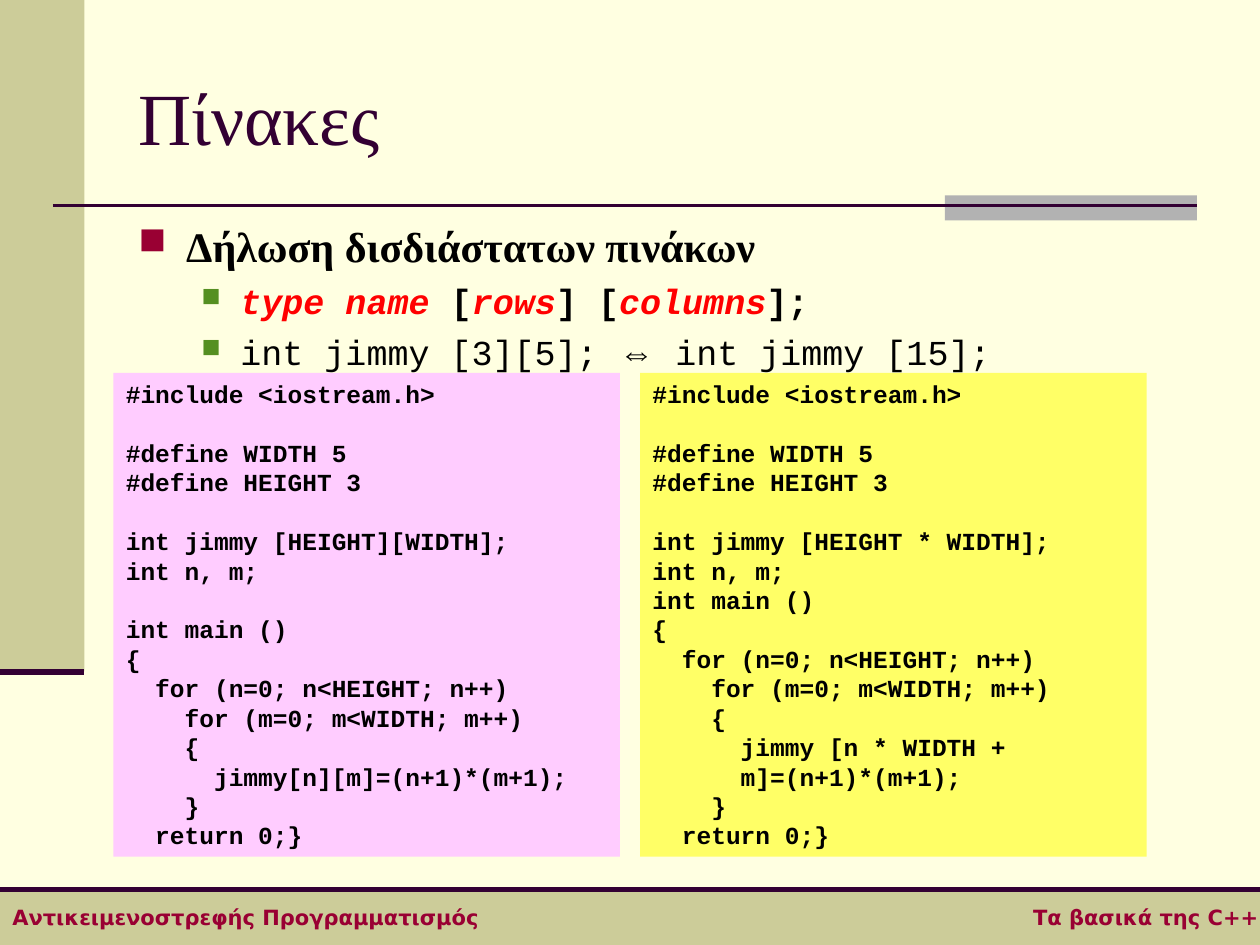
"""Build the slide on declaring two-dimensional arrays in C++."""
from dataclasses import dataclass
from typing import Optional

from lxml.etree import SubElement
from pptx import Presentation
from pptx.dml.color import RGBColor
from pptx.enum.shapes import MSO_CONNECTOR as Conn, MSO_SHAPE as Geo
from pptx.enum.text import MSO_ANCHOR as Anchor, PP_ALIGN as Align
from pptx.oxml.ns import qn
from pptx.util import Inches, Pt


@dataclass(frozen=True)
class Theme:
    paper: str = "FFFFE1"
    khaki: str = "CCCC99"
    grey: str = "B2B2B2"
    plum: str = "330033"
    crimson: str = "990033"
    green: str = "558F21"
    red: str = "FF0000"
    black: str = "000000"
    pink: str = "FFCCFF"
    yellow: str = "FFFF66"
    serif: str = "Times New Roman"
    mono: str = "Courier New"
    symbol: str = "Arial"
    sans: str = "DejaVu Sans"
    title_pt: float = 42
    topic_pt: float = 24
    item_pt: float = 20
    code_pt: float = 14
    code_line_pt: float = 16.8
    footer_pt: float = 12


T = Theme()


@dataclass(frozen=True)
class Box:
    left: float
    top: float
    width: float
    height: float

    def emu(self) -> tuple:
        return tuple(Inches(v) for v in (self.left, self.top, self.width, self.height))


@dataclass(frozen=True)
class Run:
    text: str
    font: str
    size: float
    color: str = T.black
    bold: bool = False
    italic: bool = False


@dataclass(frozen=True)
class Rule:
    start: tuple
    end: tuple
    weight: float


@dataclass(frozen=True)
class Bullet:
    color: str
    percent: int
    left: float
    hang: float
    level: int
    before: float


@dataclass(frozen=True)
class Item:
    bullet: Bullet
    runs: tuple


@dataclass(frozen=True)
class Listing:
    left: float
    fill: str
    code: str


def syntax(text: str, variable: bool = False) -> Run:
    return Run(text, T.mono, T.item_pt, T.red if variable else T.black, True, variable)


TOPIC = Bullet(T.crimson, 90, 0.38, 0.38, 0, 0)
SUB = Bullet(T.green, 75, 0.81, 0.31, 1, 5)
ITEMS = (
    Item(TOPIC, (Run("Δήλωση δισδιάστατων πινάκων", T.serif, T.topic_pt, bold=True),)),
    Item(SUB, (syntax("type name", True), syntax(" ["), syntax("rows", True),
               syntax("] ["), syntax("columns", True), syntax("];"))),
    Item(SUB, (Run("int jimmy [3][5]; ", T.mono, T.item_pt), Run("⇔", T.symbol, T.item_pt),
               Run(" int jimmy [15];", T.mono, T.item_pt))),
)

PROGRAM = """#include <iostream.h>

#define WIDTH 5
#define HEIGHT 3

int jimmy [{size}];
int n, m;
{gap}int main ()
{{
  for (n=0; n<HEIGHT; n++)
    for (m=0; m<WIDTH; m++)
    {{
      {assign}
    }}
  return 0;}}"""
LISTINGS = (
    Listing(0.9, T.pink, PROGRAM.format(
        size="HEIGHT][WIDTH", gap="\n", assign="jimmy[n][m]=(n+1)*(m+1);")),
    Listing(5.08, T.yellow, PROGRAM.format(
        size="HEIGHT * WIDTH", gap="", assign="jimmy [n * WIDTH +\n      m]=(n+1)*(m+1);")),
)
RULES = (Rule((0.42, 1.63), (9.5, 1.63), 1.5), Rule((0, 5.33), (0.67, 5.33), 3.5),
         Rule((0, 7.06), (10, 7.06), 3))


def add_run(p, run: Run) -> None:
    r = p.add_run()
    r.text = run.text
    f = r.font
    f.name, f.size, f.bold, f.italic = run.font, Pt(run.size), run.bold, run.italic
    f.color.rgb = RGBColor.from_string(run.color)


def add_rect(slide, box: Box, fill: str):
    sp = slide.shapes.add_shape(Geo.RECTANGLE, *box.emu())
    sp.shadow.inherit = False
    sp.fill.solid()
    sp.fill.fore_color.rgb = RGBColor.from_string(fill)
    sp.line.fill.background()
    return sp


def add_rule(slide, rule: Rule) -> None:
    ends = (Inches(v) for v in rule.start + rule.end)
    cn = slide.shapes.add_connector(Conn.STRAIGHT, *ends)
    cn.line.color.rgb = RGBColor.from_string(T.plum)
    cn.line.width = Pt(rule.weight)
    SubElement(cn._element.spPr, qn("a:effectLst"))


def add_text(slide, box: Box, anchor: Anchor):
    tf = slide.shapes.add_textbox(*box.emu()).text_frame
    tf.word_wrap = True
    tf.vertical_anchor = anchor
    return tf


def next_paragraph(tf, index: int):
    p = tf.add_paragraph() if index else tf.paragraphs[0]
    p.alignment = Align.LEFT
    return p


def set_bullet(p, bullet: Bullet) -> None:
    pPr = p._p.get_or_add_pPr()
    pPr.set("marL", str(Inches(bullet.left)))
    pPr.set("indent", str(-Inches(bullet.hang)))
    SubElement(SubElement(pPr, qn("a:buClr")), qn("a:srgbClr"), val=bullet.color)
    SubElement(pPr, qn("a:buSzPct"), val=str(bullet.percent * 1000))
    SubElement(pPr, qn("a:buChar"), char="■")
    p.level = bullet.level
    p.space_before = Pt(bullet.before)


def add_items(slide, box: Box, items: tuple) -> None:
    tf = add_text(slide, box, Anchor.TOP)
    for i, item in enumerate(items):
        p = next_paragraph(tf, i)
        set_bullet(p, item.bullet)
        for run in item.runs:
            add_run(p, run)


def add_listing(slide, listing: Listing) -> None:
    tf = add_rect(slide, Box(listing.left, 2.96, 4.02, 3.84), listing.fill).text_frame
    tf.word_wrap = True
    tf.vertical_anchor = Anchor.TOP
    lines = listing.code.split("\n")
    for i, line in enumerate(lines):
        if line:
            p = next_paragraph(tf, i)
            p.line_spacing = Pt(T.code_line_pt)
            p.space_before = Pt(T.code_line_pt if i and not lines[i - 1] else 0)
            add_run(p, Run(line, T.mono, T.code_pt, bold=True))


def add_footer(slide, left: str, right: str) -> None:
    tf = add_rect(slide, Box(0, 7.06, 10, 0.44), T.khaki).text_frame
    tf.margin_right = 0
    tf.vertical_anchor = Anchor.MIDDLE
    p = next_paragraph(tf, 0)
    tabs = SubElement(p._p.get_or_add_pPr(), qn("a:tabLst"))
    SubElement(tabs, qn("a:tab"), pos=str(Inches(9.89)), algn="r")
    add_run(p, Run(f"{left}\t{right}", T.sans, T.footer_pt, T.crimson, True))


def main() -> None:
    prs = Presentation()
    prs.slide_width, prs.slide_height = Inches(10), Inches(7.5)
    s = prs.slides.add_slide(prs.slide_layouts[6])
    s.background.fill.solid()
    s.background.fill.fore_color.rgb = RGBColor.from_string(T.paper)
    add_rect(s, Box(0, 0, 0.67, 5.33), T.khaki)
    add_rect(s, Box(7.5, 1.55, 2, 0.2), T.grey)
    add_footer(s, "Αντικειμενοστρεφής Προγραμματισμός", "Τα βασικά της C++")
    for rule in RULES:
        add_rule(s, rule)
    add_items(s, Box(1, 1.7, 9, 1.45), ITEMS)
    title = add_text(s, Box(1, 0.3, 8.5, 1.25), Anchor.MIDDLE)
    add_run(next_paragraph(title, 0), Run("Πίνακες", T.serif, T.title_pt, T.plum))
    for listing in LISTINGS:
        add_listing(s, listing)


    prs.save("out.pptx")


if __name__ == "__main__":
    main()
